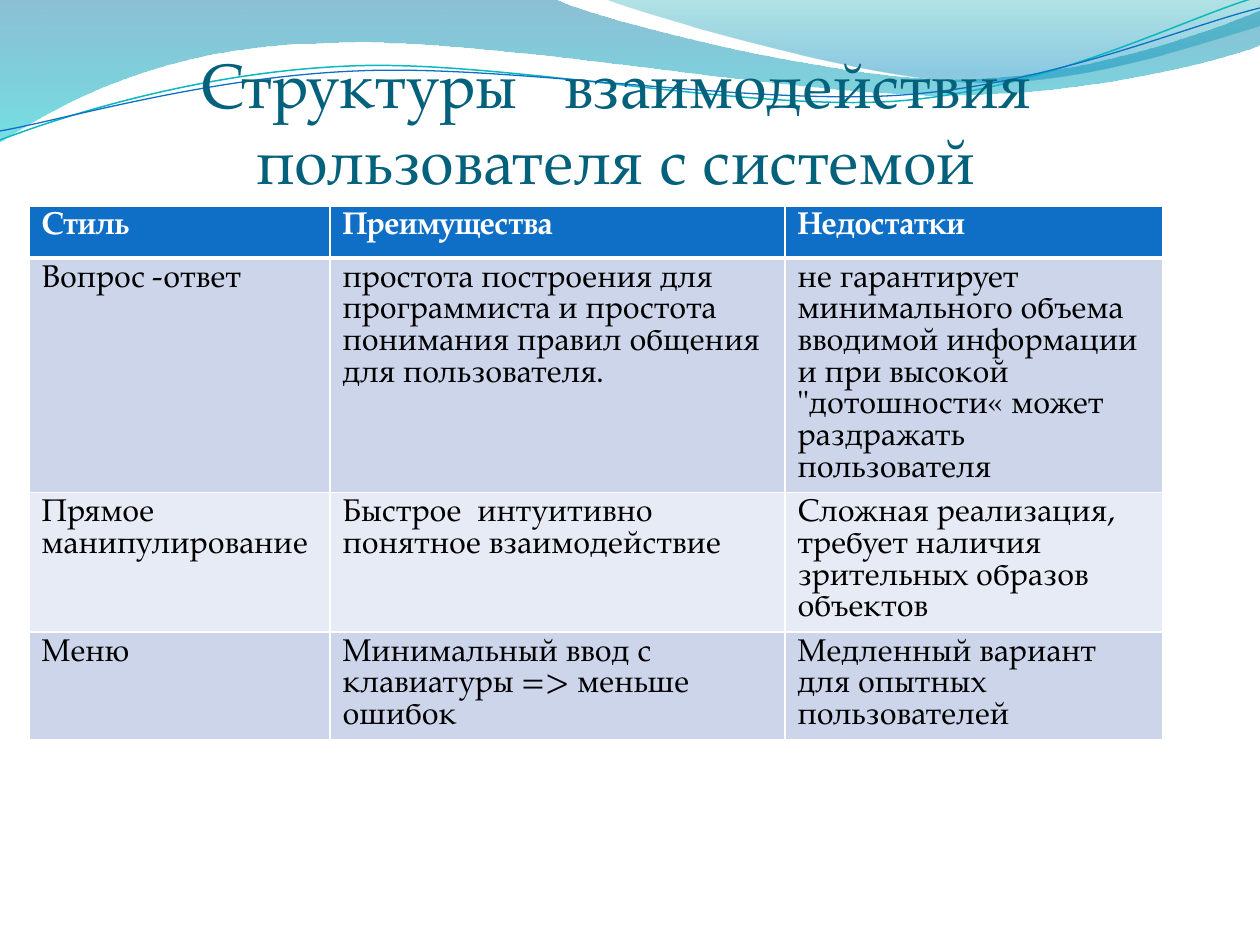
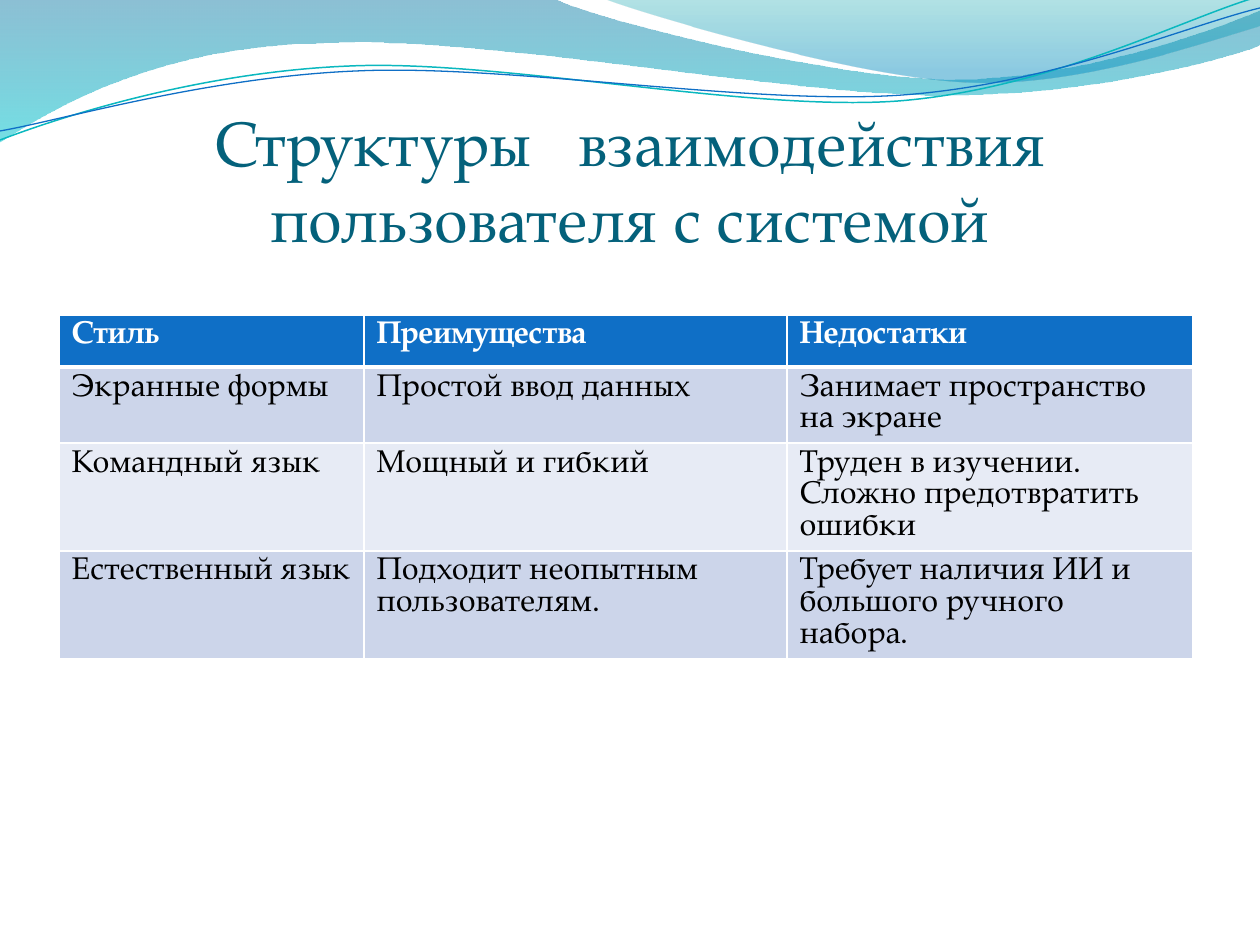
from dataclasses import dataclass

from lxml.etree import SubElement
from pptx import Presentation
from pptx.dml.color import RGBColor
from pptx.enum.text import MSO_ANCHOR, MSO_AUTO_SIZE, PP_ALIGN
from pptx.oxml.ns import qn
from pptx.util import Emu, Inches, Pt

SCALE = 914400 / 126  # EMU in one px


@dataclass(frozen=True)
class Theme:
    font: str = "TeX Gyre Pagella"
    title: str = "04617B"
    head: str = "0F6FC6"
    light: str = "FFFFFF"
    dark: str = "000000"
    bands: tuple = ("CCD5EA", "E7EBF5")
    # Stops: position, colour, opacity in percent
    wave: tuple = ((0, "0074A1", 45), (1, "00C6CF", 55))
    veil: tuple = ((0, "00A1A9", 30), (0.8, "008BBF", 45))
    teal: str = "0AB8BF"
    title_size: int = 36
    cell_size: int = 18


# A path is a start point, then segments: 2 numbers a line, 6 a curve
WAVE = [(0, 0), (554, -1),
        (600, 21, 837, 79, 955, 79), (1075, 79, 1207, 33, 1260, 11),
        (1261, 45),
        (1239, 55, 1096, 96, 940, 95), (784, 95, 481, 35, 324, 43),
        (163, 45, 58, 105, -1, 142)]
VEIL = [(604, -1), (641, 14, 859, 78, 969, 82),
        (1079, 87, 1211, 40, 1260, 26), (1260, 0)]
TEAL = [(0, 140), (60, 117, 199, 72, 349, 66),
        (498, 59, 747, 112, 898, 101), (1050, 89, 1182, 19, 1257, -3)]
BLUE = [(0, 131), (59, 121, 207, 77, 357, 71),
        (508, 64, 752, 106, 903, 95), (1053, 84, 1186, 26, 1260, 8)]

TITLE = "Структуры   взаимодействия пользователя с системой"
HEAD = ("Стиль", "Преимущества", "Недостатки")
DIALOG = [
    ("Вопрос -ответ",
     "простота построения для программиста и простота понимания "
     "правил общения для пользователя.",
     "не гарантирует минимального объема вводимой информации и при "
     "высокой \"дотошности« может раздражать пользователя"),
    ("Прямое манипулирование",
     "Быстрое  интуитивно понятное взаимодействие",
     "Сложная реализация,  требует наличия зрительных образов объектов"),
    ("Меню",
     "Минимальный ввод с клавиатуры => меньше ошибок",
     "Медленный вариант  для опытных пользователей"),
]
FORMS = [
    ("Экранные формы", "Простой ввод данных",
     "Занимает пространство на экране"),
    ("Командный язык", "Мощный и гибкий",
     "Труден в изучении. Сложно предотвратить ошибки"),
    ("Естественный язык", "Подходит неопытным пользователям.",
     "Требует наличия ИИ и  большого ручного набора."),
]


def px(count):
    return Emu(round(count * SCALE))


def bend(shape, parts):
    """Join the three lines drawn for each curve into one Bezier segment."""
    track = next(shape._element.iter(qn("a:path")))
    lines = iter(track.findall(qn("a:lnTo")))
    for part in parts:
        first = next(lines)
        if len(part) == 2:
            continue
        curve = SubElement(track, qn("a:cubicBezTo"))
        first.addprevious(curve)
        for line in (first, next(lines), next(lines)):
            curve.append(line[0])
            track.remove(line)


class Deck:
    def __init__(self, theme):
        self.theme = theme
        self.show = Presentation()
        self.show.slide_width, self.show.slide_height = Inches(10), Inches(7.5)
        self.layout = self.show.slide_layouts[5]
        self.slide = None
        self.depth = 2

    def add(self):
        self.slide = self.show.slides.add_slide(self.layout)

    def share(self, shape):
        """Move a shape to the layout, behind its placeholders."""
        self.layout.shapes._spTree.insert(self.depth, shape._element)
        self.depth += 1

    def trail(self, track, close):
        start, *parts = track
        spots = [part[i:i + 2] for part in parts
                 for i in range(0, len(part), 2)]
        pen = self.slide.shapes.build_freeform(*start, scale=SCALE)
        pen.add_line_segments(spots, close=close)
        shape = pen.convert_to_shape()
        shape.shadow.inherit = False
        bend(shape, parts)
        return shape

    def band(self, track, stops):
        shape = self.trail(track, True)
        shape.line.fill.background()
        shape.fill.gradient()
        shape.fill.gradient_angle = 270
        for stop, (place, color, _) in zip(shape.fill.gradient_stops, stops):
            stop.position = place
            stop.color.rgb = RGBColor.from_string(color)
        tints = shape._element.spPr.iter(qn("a:srgbClr"))
        for tint, (_, _, solid) in zip(tints, stops):
            SubElement(tint, qn("a:alpha"), val=str(solid * 1000))
        self.share(shape)

    def curve(self, track, color, width):
        shape = self.trail(track, False)
        shape.fill.background()
        shape.line.color.rgb = RGBColor.from_string(color)
        shape.line.width = Pt(width)
        self.share(shape)

    def style(self, frame, size, color, bold=False):
        for para in frame.paragraphs:
            for run in para.runs:
                run.font.name = self.theme.font
                run.font.size = Pt(size)
                run.font.bold = bold
                run.font.color.rgb = RGBColor.from_string(color)

    def title(self, text, left, top):
        shape = self.slide.shapes.title
        shape.left, shape.top = px(left), px(top)
        shape.width, shape.height = px(1134), px(158)
        frame = shape.text_frame
        frame.text = text
        frame.word_wrap = True
        frame.auto_size = MSO_AUTO_SIZE.NONE
        frame.vertical_anchor = MSO_ANCHOR.BOTTOM
        frame.margin_left = frame.margin_right = frame.margin_bottom = 0
        frame.margin_top = Inches(0.05)
        frame.paragraphs[0].alignment = PP_ALIGN.CENTER
        self.style(frame, self.theme.title_size, self.theme.title)

    def edge(self, cell, row):
        """Rule the cell thinly, with a thick rule under the header."""
        props = cell._tc.get_or_add_tcPr()
        thick = {0: "B", 1: "T"}.get(row)
        for side in "LRTB":
            width = Pt(3 if side == thick else 1)
            line = SubElement(props, qn(f"a:ln{side}"), w=str(width))
            fill = SubElement(line, qn("a:solidFill"))
            SubElement(fill, qn("a:srgbClr"), val=self.theme.light)

    def table(self, rows, left, top, widths, height=52):
        look = self.theme
        rows = [HEAD, *rows]
        grid = self.slide.shapes.add_table(
            len(rows), len(widths), px(left), px(top),
            px(sum(widths)), px(height * len(rows))).table
        for column, width in zip(grid.columns, widths):
            column.width = px(width)
        for r, texts in enumerate(rows):
            grid.rows[r].height = px(height)
            back = look.bands[(r - 1) % 2] if r else look.head
            for c, text in enumerate(texts):
                cell = grid.cell(r, c)
                cell.text_frame.text = text
                self.edge(cell, r)
                cell.fill.solid()
                cell.fill.fore_color.rgb = RGBColor.from_string(back)
                self.style(cell.text_frame, look.cell_size,
                           look.dark if r else look.light, bold=r == 0)


def main():
    theme = Theme()
    deck = Deck(theme)

    deck.add()
    deck.band(WAVE, theme.wave)
    deck.band(VEIL, theme.veil)
    deck.curve(TEAL, theme.teal, 0.85)
    deck.curve(BLUE, theme.head, 0.75)
    deck.title(TITLE, 49, 39)
    deck.table(DIALOG, 29, 206, (301, 455, 378))

    deck.add()
    deck.title(TITLE, 63, 97)
    deck.table(FORMS, 59, 315, (305, 423, 406))

    deck.show.save("out.pptx")


if __name__ == "__main__":
    main()
